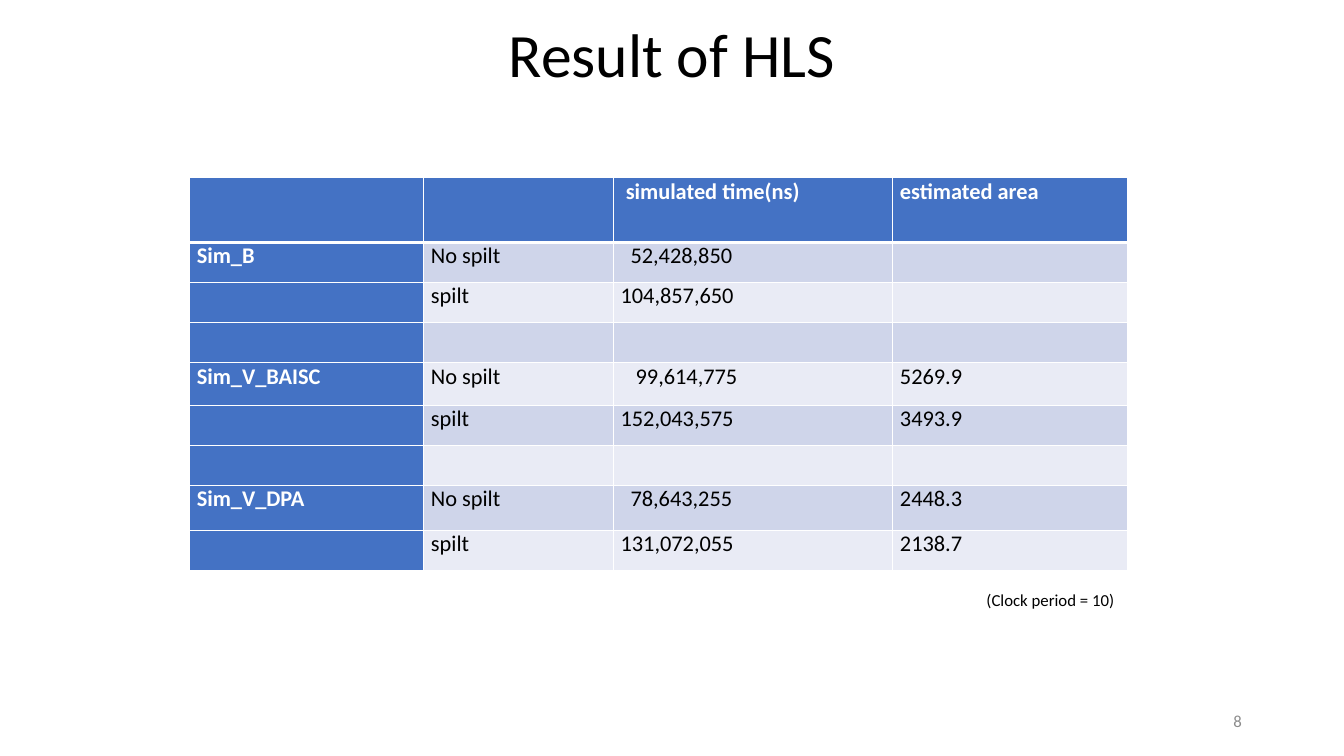
"""Build the slide with the table of HLS results."""
from dataclasses import dataclass

from lxml.etree import SubElement
from pptx import Presentation
from pptx.dml.color import RGBColor
from pptx.enum.text import MSO_ANCHOR, PP_ALIGN
from pptx.oxml.ns import qn
from pptx.slide import Slide
from pptx.table import _Cell
from pptx.text.text import TextFrame
from pptx.util import Cm, Pt

FONT = "Calibri"
BLACK = RGBColor(0x00, 0x00, 0x00)
WHITE = RGBColor(0xFF, 0xFF, 0xFF)
GRAY = RGBColor(0x8C, 0x8C, 0x8C)
BLUE = RGBColor(0x44, 0x72, 0xC4)
BANDS = (RGBColor(0xE9, 0xEB, 0xF5), RGBColor(0xCF, 0xD5, 0xEA))
COLUMN_WIDTHS = (5.9, 4.78, 7.04, 5.92)


@dataclass(frozen=True)
class ResultRow:
    """One table row, with lengths in centimetres."""

    design: str = ""
    variant: str = ""
    time: str = ""
    area: str = ""
    height: float = 1.01
    time_indent: float = 0


@dataclass(frozen=True)
class Label:
    """A text box, with lengths in centimetres."""

    text: str
    left: float
    top: float
    width: float
    height: float
    size: float = 12
    color: RGBColor = BLACK
    align: PP_ALIGN = PP_ALIGN.LEFT
    anchor: MSO_ANCHOR = MSO_ANCHOR.MIDDLE
    line_spacing: float = 1.0
    wrap: bool = True


ROWS = (
    ResultRow(time="simulated time(ns)", area="estimated area", height=1.63, time_indent=0.13),
    ResultRow("Sim_B", "No spilt", "52,428,850", time_indent=0.25),
    ResultRow("", "spilt", "104,857,650"),
    ResultRow(),
    ResultRow("Sim_V_BAISC", "No spilt", "99,614,775", "5269.9", 1.07, 0.38),
    ResultRow("", "spilt", "152,043,575", "3493.9"),
    ResultRow(),
    ResultRow("Sim_V_DPA", "No spilt", "78,643,255", "2448.3", 1.14, 0.25),
    ResultRow("", "spilt", "131,072,055", "2138.7"),
)
LABELS = (
    Label("Result of HLS", 2.33, 0.25, 29.21, 2.41, size=44,
          align=PP_ALIGN.CENTER, line_spacing=0.9),
    Label("(Clock period = 10)", 24.61, 14.73, 3.78, 0.76,
          anchor=MSO_ANCHOR.TOP, wrap=False),
    Label("8", 23.93, 17.65, 7.62, 1.02, color=GRAY, align=PP_ALIGN.RIGHT),
)


def write_text(frame: TextFrame, text: str, *, size: float, color: RGBColor,
               bold: bool = False, align: PP_ALIGN = PP_ALIGN.LEFT,
               line_spacing: float = 1.0, indent: float = 0) -> None:
    """Write one formatted paragraph into a text frame."""
    paragraph = frame.paragraphs[0]
    paragraph.text = text
    paragraph.alignment = align
    paragraph.line_spacing = line_spacing
    paragraph._p.get_or_add_pPr().set("marL", str(Cm(indent)))
    font = paragraph.runs[0].font if paragraph.runs else paragraph.font
    font.name = FONT
    font.size = Pt(size)
    font.bold = bold
    font.color.rgb = color


def add_label(slide: Slide, label: Label) -> None:
    """Add a text box to the slide."""
    shape = slide.shapes.add_textbox(
        Cm(label.left), Cm(label.top), Cm(label.width), Cm(label.height))
    frame = shape.text_frame
    frame.word_wrap = label.wrap
    frame.vertical_anchor = label.anchor
    write_text(frame, label.text, size=label.size, color=label.color,
               align=label.align, line_spacing=label.line_spacing)


def set_borders(cell: _Cell, row_index: int) -> None:
    """Draw white cell borders, thick below the header row."""
    widths = {"lnL": 1, "lnR": 1, "lnT": 3 if row_index == 1 else 1,
              "lnB": 3 if row_index == 0 else 1}
    properties = cell._tc.get_or_add_tcPr()
    for tag, width in widths.items():
        line = SubElement(properties, qn(f"a:{tag}"), w=str(Pt(width)))
        fill = SubElement(line, qn("a:solidFill"))
        SubElement(fill, qn("a:srgbClr"), val=str(WHITE))


def add_results(slide: Slide) -> None:
    """Add the table of simulated times and estimated areas."""
    table = slide.shapes.add_table(
        len(ROWS), len(COLUMN_WIDTHS), Cm(4.78), Cm(4.48),
        Cm(sum(COLUMN_WIDTHS)), Cm(sum(row.height for row in ROWS))).table
    table.first_col = True
    for column, width in zip(table.columns, COLUMN_WIDTHS):
        column.width = Cm(width)
    for row_index, row in enumerate(ROWS):
        table.rows[row_index].height = Cm(row.height)
        for column_index, text in enumerate((row.design, row.variant, row.time, row.area)):
            cell = table.cell(row_index, column_index)
            heading = row_index == 0 or column_index == 0
            cell.margin_left = cell.margin_right = Cm(0.18)
            cell.margin_top = cell.margin_bottom = Cm(0)
            set_borders(cell, row_index)
            cell.fill.solid()
            cell.fill.fore_color.rgb = BLUE if heading else BANDS[row_index % 2]
            write_text(cell.text_frame, text, size=16, bold=heading,
                       color=WHITE if heading else BLACK,
                       indent=row.time_indent if column_index == 2 else 0)


def main() -> None:
    """Create and save the presentation."""
    presentation = Presentation()
    presentation.slide_width = Cm(33.87)
    presentation.slide_height = Cm(19.05)
    slide = presentation.slides.add_slide(presentation.slide_layouts[6])
    add_results(slide)
    for label in LABELS:
        add_label(slide, label)
    presentation.save("out.pptx")


if __name__ == "__main__":
    main()
